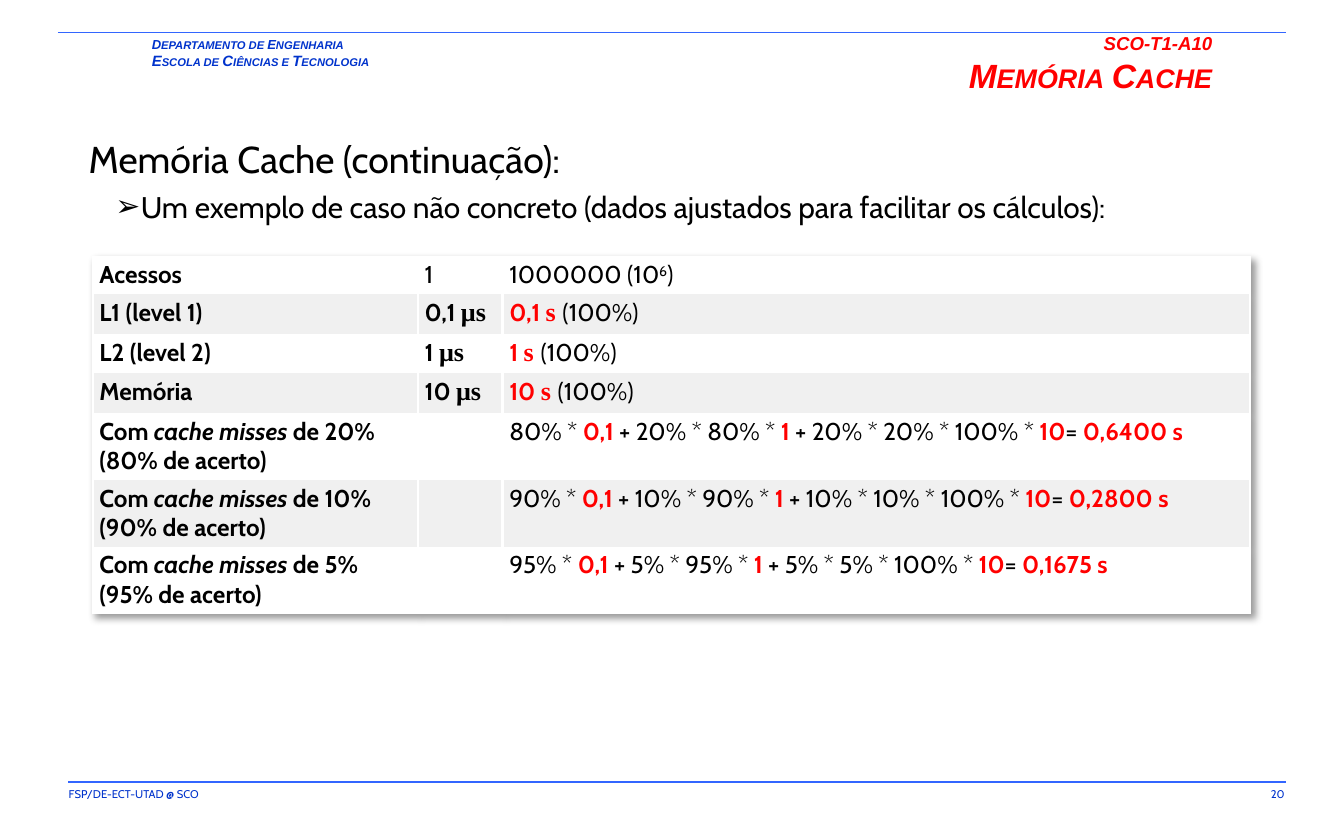
from lxml import etree
from pptx import Presentation
from pptx.dml.color import RGBColor as RGB
from pptx.enum.shapes import MSO_CONNECTOR as Conn
from pptx.enum.text import MSO_ANCHOR as Anchor, MSO_AUTO_SIZE as Fit, PP_ALIGN as Align
from pptx.oxml.ns import qn
from pptx.util import Pt

BLUE = RGB(0x00, 0x33, 0xCC)
RULE = RGB(0x33, 0x66, 0xFF)
RED = RGB(0xFF, 0x00, 0x00)
BLACK = RGB(0x00, 0x00, 0x00)
WHITE = RGB(0xFF, 0xFF, 0xFF)
GREY = RGB(0xF0, 0xF0, 0xF0)
PLAIN = "{2D5ABB26-0587-4C30-8999-92F81FD0307C}"  # table style without grid

# Run styles in the table: b bold, i italic, r red, t Times, s superscript
HEAD = [
    ([("Acessos", "b")], [("1", "")],
     [("1000000 (10", ""), ("6", "s"), (")", "")]),
]
LEVELS = [("L1 (level 1)", "0,1"), ("L2 (level 2)", "1"), ("Memória", "10")]
MISSES = [(20, "0,6400 s"), (10, "0,2800 s"), (5, "0,1675 s")]


def add(parent, tag, **attrs):
    return etree.SubElement(parent, qn(tag), attrs)


def set_font(font, name, size, color):
    font.name, font.size = name, Pt(size)
    font.color.rgb = color


def set_box(frame, side, top):
    frame.margin_left = frame.margin_right = Pt(side)
    frame.margin_top = frame.margin_bottom = Pt(top)
    frame.vertical_anchor = Anchor.TOP
    frame.word_wrap = True
    frame.auto_size = Fit.NONE


def place(shape, x, y, w, h):
    shape.left, shape.top, shape.width, shape.height = Pt(x), Pt(y), Pt(w), Pt(h)


def add_text(slide, x, y, w, h, side=5.8, top=2.9):
    frame = slide.shapes.add_textbox(Pt(x), Pt(y), Pt(w), Pt(h)).text_frame
    set_box(frame, side, top)
    return frame


def add_rule(slide, x, y, end):
    line = slide.shapes.add_connector(Conn.STRAIGHT, Pt(x), Pt(y), Pt(end), Pt(y))
    line.line.color.rgb, line.line.width = RULE, Pt(0.75)
    add(line._element.spPr, "a:effectLst")


def add_note(slide, text, x, w, align):
    para = add_text(slide, x, 419, w, 15).paragraphs[0]
    para.text, para.alignment = text, align
    set_font(para.font, "Cabin", 6, BLUE)


def add_head(slide):
    frame = add_text(slide, 76.3, 17.3, 187, 23, 5, 2.2)
    lines = [(7, "DEPARTAMENTO DE |ENGENHARIA"),
             (8, "ESCOLA DE |CIÊNCIAS E |TECNOLOGIA")]
    for i, (size, text) in enumerate(lines):
        para = frame.add_paragraph() if i else frame.paragraphs[0]
        set_font(para.font, "Arial", 6, BLUE)
        para.font.bold = para.font.italic = True
        # Large first letter for each main word
        for word in text.split("|"):
            for part, height in ((word[0], size), (word[1:], 6)):
                run = para.add_run()
                run.text, run.font.size = part, Pt(height)


def add_title(slide):
    shape = slide.shapes.title
    place(shape, 236.9, 14.4, 418.3, 33.1)
    set_box(shape.text_frame, 5.8, 2.9)
    para = shape.text_frame.paragraphs[0]
    para.alignment = Align.RIGHT
    para.font.bold = para.font.italic = True
    code = para.add_run()
    code.text = "SCO-T1-A10"
    set_font(code.font, "Arial", 10, RED)
    para.add_line_break()
    name = para.add_run()
    name.text = "Memória Cache"
    set_font(name.font, "Arial", 18, RED)
    name._r.get_or_add_rPr().set("cap", "small")


def add_body(slide):
    shape = slide.placeholders[1]
    place(shape, 42.5, 66.2, 663, 54.7)
    frame = shape.text_frame
    set_box(frame, 5, 2.2)
    first, item = frame.paragraphs[0], frame.add_paragraph()
    first.text = "Memória Cache (continuação):"
    item.text = "Um exemplo de caso não concreto (dados ajustados para facilitar os cálculos):"
    item.level, item.alignment = 1, Align.JUSTIFY
    for para, size, left, hang in ((first, 20, 0, 0), (item, 16, 28, -13.7)):
        set_font(para.font, "Cabin", size, BLACK)
        para.line_spacing, para.space_before = 1.2, Pt(0)
        props = para._p.get_or_add_pPr()
        props.set("marL", str(Pt(left)))
        props.set("indent", str(Pt(hang)))
        # Bullets stand before the default run properties
        bullet = etree.Element(qn("a:buChar" if hang else "a:buNone"))
        if hang:
            bullet.set("char", "➢")
        props.find(qn("a:defRPr")).addprevious(bullet)


def fill_cell(cell, runs, color):
    cell.margin_left = cell.margin_right = Pt(3.6)
    cell.margin_top = cell.margin_bottom = Pt(2.2)
    cell.vertical_anchor = Anchor.TOP
    para = cell.text_frame.paragraphs[0]
    para.alignment = Align.LEFT
    set_font(para.font, "Cabin", 13, BLACK)
    for text, style in runs:
        if text == "\n":
            para.add_line_break()
            continue
        run = para.add_run()
        run.text = text
        times = "t" in style
        set_font(run.font, "Times New Roman" if times else "Cabin",
                 14 if times else 13, RED if "r" in style else BLACK)
        run.font.bold, run.font.italic = "b" in style, "i" in style
        if "s" in style:
            run._r.get_or_add_rPr().set("baseline", "30000")
    # White side borders come before the fill
    props = cell._tc.get_or_add_tcPr()
    for tag in ("a:lnL", "a:lnR"):
        edge = add(props, tag, w=str(Pt(1.5)))
        add(add(edge, "a:solidFill"), "a:srgbClr", val=str(WHITE))
    cell.fill.solid()
    cell.fill.fore_color.rgb = color


def level_row(name, time):
    return ([(name, "b")], [(time + " ", "b"), ("μs", "bt")],
            [(time + " ", "br"), ("s ", "brt"), ("(100%)", "")])


def miss_row(miss, total):
    hit = 100 - miss
    label = [("Com ", "b"), ("cache misses", "bi"), (f" de {miss}%", "b"),
             ("\n", ""), (f"({hit}% de acerto)", "b")]
    sums = [(f"{hit}% * ", ""), ("0,1", "br"), (f" + {miss}% * {hit}% * ", ""),
            ("1", "br"), (f" + {miss}% * {miss}% * 100% * ", ""),
            ("10", "br"), ("= ", ""), (total, "br")]
    return label, [], sums


def add_grid(slide):
    rows = HEAD + [level_row(*r) for r in LEVELS] + [miss_row(*r) for r in MISSES]
    highs = [20.4] + [21.2] * 3 + [35.8] * 3
    wides = [174.2, 45.4, 400.3]
    table = slide.shapes.add_table(len(rows), len(wides), Pt(49.7), Pt(137.2),
                                   Pt(sum(wides)), Pt(sum(highs))).table
    table.first_row = table.horz_banding = False
    for col, wide in zip(table.columns, wides):
        col.width = Pt(wide)
    for i, (row, high) in enumerate(zip(rows, highs)):
        table.rows[i].height = Pt(high)
        for j, runs in enumerate(row):
            fill_cell(table.cell(i, j), runs, GREY if i % 2 else WHITE)
    # Plain style and a soft shadow
    props = table._tbl.tblPr
    props.find(qn("a:tableStyleId")).text = PLAIN
    effect = etree.Element(qn("a:effectLst"))
    props.insert(0, effect)
    shade = add(effect, "a:outerShdw", blurRad=str(Pt(4)), dist=str(Pt(3)),
                dir="2700000", algn="tl", rotWithShape="0")
    add(add(shade, "a:srgbClr", val=str(BLACK)), "a:alpha", val="40000")


def main():
    deck = Presentation()
    deck.slide_width, deck.slide_height = Pt(720), Pt(450)
    slide = deck.slides.add_slide(deck.slide_layouts[1])
    # Page frame
    add_note(slide, "FSP/DE-ECT-UTAD @ SCO", 31, 335, Align.LEFT)
    add_note(slide, "20", 604, 90, Align.RIGHT)
    add_head(slide)
    add_rule(slide, 31, 17.3, 689)
    add_rule(slide, 36.7, 419, 689)
    # Content
    add_title(slide)
    add_body(slide)
    add_grid(slide)
    deck.save("out.pptx")


if __name__ == "__main__":
    main()
